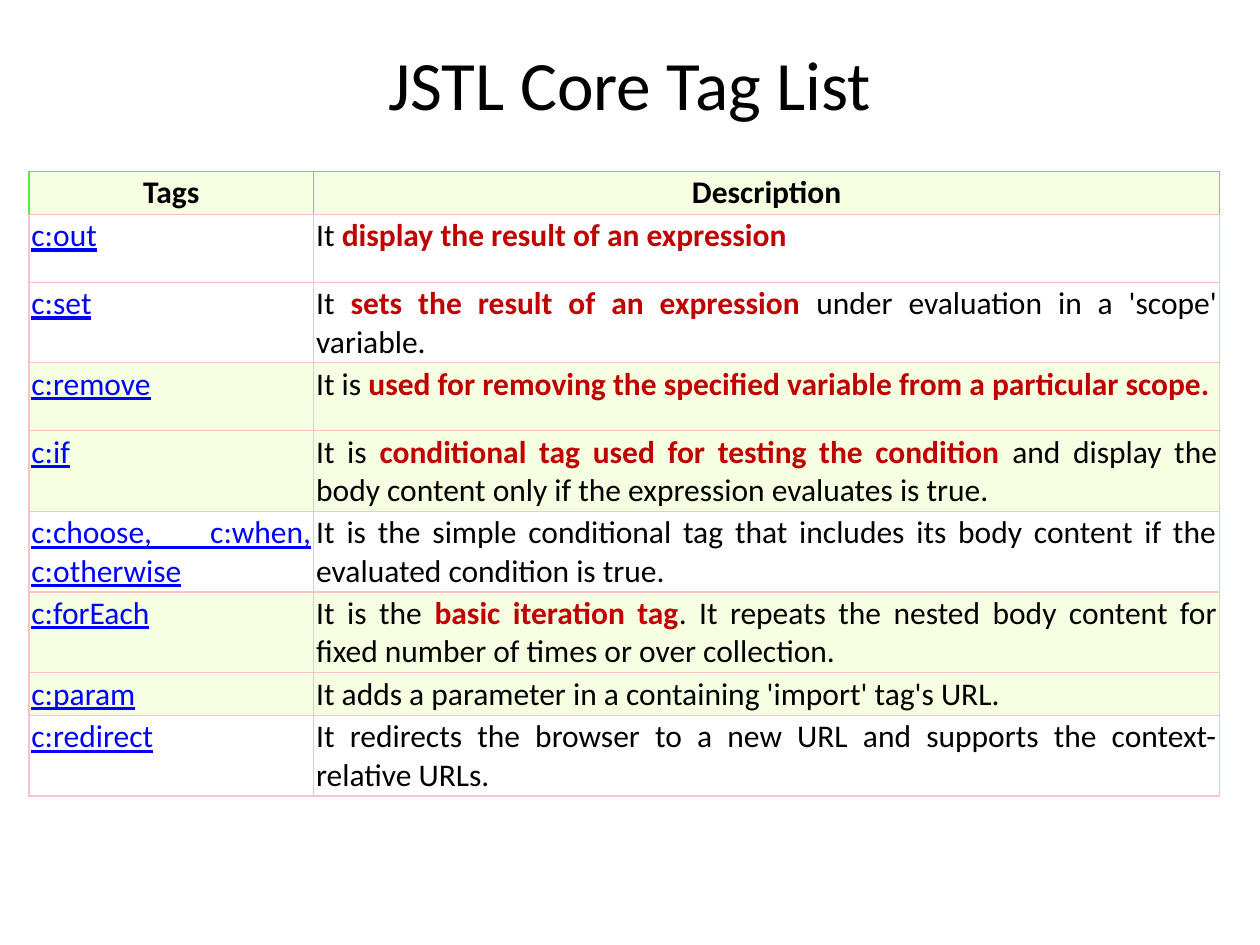
from lxml import etree
from pptx import Presentation
from pptx.dml.color import RGBColor
from pptx.enum.text import MSO_ANCHOR, PP_ALIGN
from pptx.oxml.ns import qn
from pptx.util import Inches, Pt

CENTER, JUSTIFY = PP_ALIGN.CENTER, PP_ALIGN.JUSTIFY
MIDDLE = MSO_ANCHOR.MIDDLE
BLACK = RGBColor(0x00, 0x00, 0x00)
WHITE = RGBColor(0xFF, 0xFF, 0xFF)
LIME = RGBColor(0xF6, 0xFF, 0xE1)
PINK = RGBColor(0xFF, 0xC0, 0xCB)
GREEN = RGBColor(0x50, 0xF1, 0x3C)
BLUE = RGBColor(0x00, 0x00, 0xFF)
RED = RGBColor(0xC0, 0x00, 0x00)

# Tag, description with *emphasis*, row fill, row height
TAG_ROWS = [
    ("Tags", "Description", LIME, 0.29),
    ("c:out", "It *display the result of an expression*", WHITE, 0.54),
    ("c:set", "It *sets the result of an expression *under evaluation in a 'scope' variable.", WHITE, 0.54),
    ("c:remove", "It is *used for removing the specified variable from a particular scope.*", LIME, 0.54),
    ("c:if", "It is *conditional tag used for testing the condition *and display the "
             "body content only if the expression evaluates is true.", LIME, 0.54),
    ("c:choose, c:when, c:otherwise", "It is the simple conditional tag that includes its "
                                      "body content if the evaluated condition is true.", WHITE, 0.54),
    ("c:forEach", "It is the *basic iteration tag*. It repeats the nested body content "
                  "for fixed number of times or over collection.", LIME, 0.54),
    ("c:param", "It adds a parameter in a containing 'import' tag's URL.", LIME, 0.29),
    ("c:redirect", "It redirects the browser to a new URL and supports the context-relative URLs.",
     WHITE, 0.54),
]
COLUMN_WIDTHS = (2.26, 7.19)


def add_run(paragraph, text, size, color, bold=False, underline=False):
    run = paragraph.add_run()
    run.text = text
    run.font.name = "Calibri"
    run.font.size = Pt(size)
    run.font.color.rgb = color
    run.font.bold = bold
    run.font.underline = underline


def set_borders(cell, side_color, bottom_color):
    properties = cell._tc.get_or_add_tcPr()
    for side in "LRTB":
        line = etree.SubElement(properties, qn("a:ln" + side), w=str(Pt(0.75)))
        fill = etree.SubElement(line, qn("a:solidFill"))
        color = bottom_color if side == "B" else side_color
        etree.SubElement(fill, qn("a:srgbClr"), val=str(color))


prs = Presentation()
prs.slide_width, prs.slide_height = Inches(10), Inches(7.5)
slide = prs.slides.add_slide(prs.slide_layouts[6])

# Title
title = slide.shapes.add_textbox(Inches(0.5), Inches(0.38), Inches(9), Inches(0.56)).text_frame
title.word_wrap = True
title.vertical_anchor = MIDDLE
title.paragraphs[0].alignment = CENTER
add_run(title.paragraphs[0], "JSTL Core Tag List", 39.6, BLACK)

# Tag table
tags = slide.shapes.add_table(len(TAG_ROWS), len(COLUMN_WIDTHS), Inches(0.23), Inches(1.36),
                              Inches(sum(COLUMN_WIDTHS)),
                              Inches(sum(row[3] for row in TAG_ROWS))).table
for column, width in zip(tags.columns, COLUMN_WIDTHS):
    column.width = Inches(width)

for r, (tag, description, row_fill, height) in enumerate(TAG_ROWS):
    header = r == 0
    tags.rows[r].height = Inches(height)
    for c, text in enumerate((tag, description)):
        cell = tags.cell(r, c)
        cell.margin_left = cell.margin_right = Inches(0.02)
        cell.margin_top = cell.margin_bottom = Inches(0.02)
        # The header's green sides stop at the pink line below it
        set_borders(cell, GREEN if header else PINK, PINK)
        cell.fill.solid()
        cell.fill.fore_color.rgb = row_fill

        paragraph = cell.text_frame.paragraphs[0]
        paragraph.alignment = CENTER if header else JUSTIFY
        link = c == 0 and not header
        for i, part in enumerate(text.split("*")):
            emphasis = i % 2 == 1
            if part:
                color = BLUE if link else RED if emphasis else BLACK
                add_run(paragraph, part, 18, color, header or emphasis, link)

prs.save("out.pptx")
